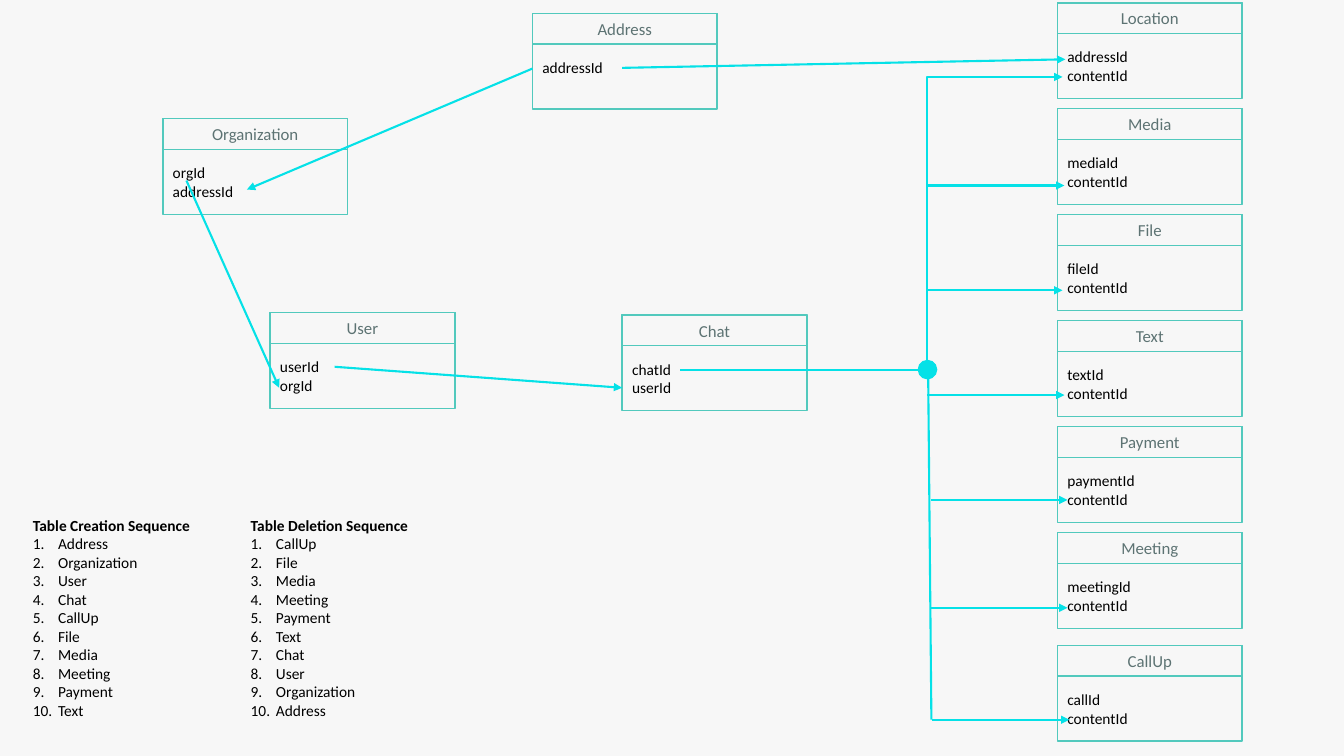
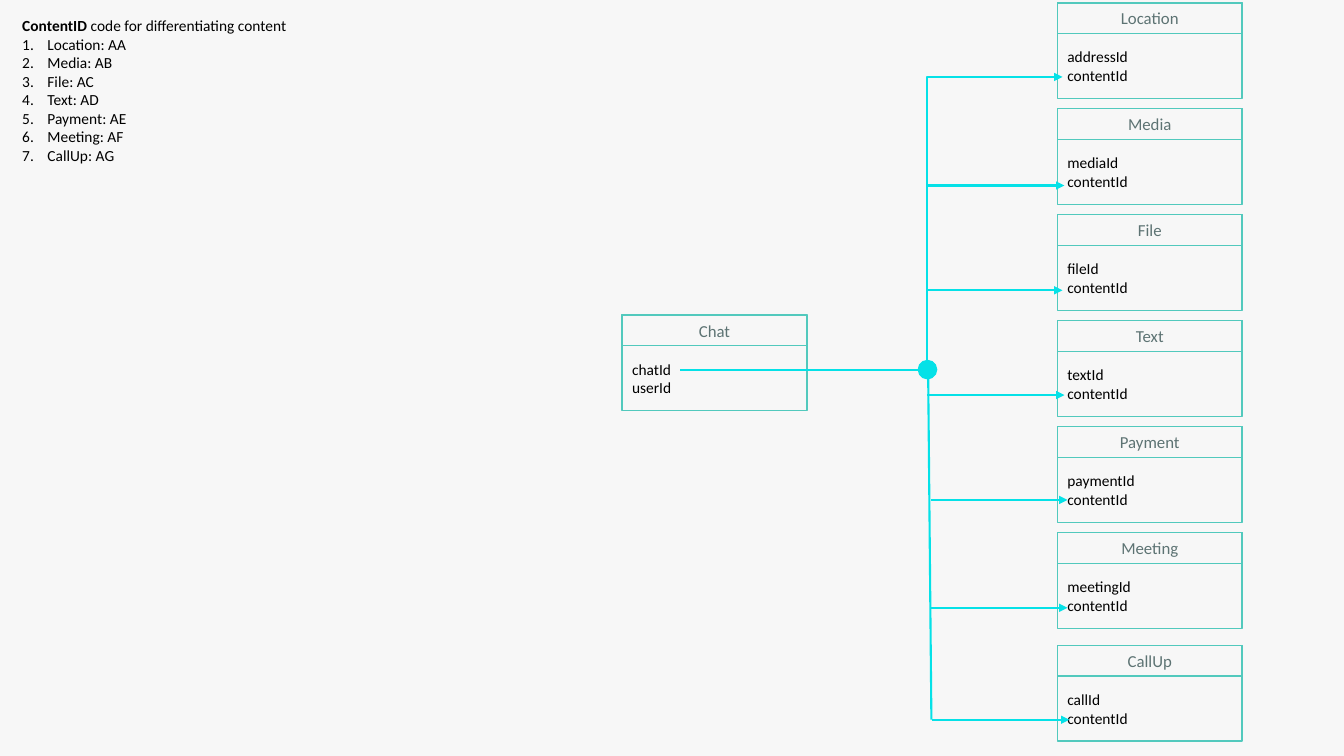
from lxml.etree import SubElement
from pptx import Presentation
from pptx.dml.color import RGBColor
from pptx.enum.shapes import MSO_CONNECTOR, MSO_SHAPE
from pptx.enum.text import MSO_ANCHOR, MSO_AUTO_SIZE, PP_ALIGN
from pptx.oxml.ns import qn
from pptx.util import Pt

FONT = "Calibri"
PAPER = "F7F7F7"
BORDER = "52C9BD"
HEADING = "5D7373"
BODY = "000000"
LINK = "05E1E7"

ENTITY_WIDTH, ENTITY_HEIGHT, HEADER_HEIGHT = 132, 68.4, 22
FIELDS_OFFSET, FIELDS_HEIGHT = 28.4, 34

CONTENT_LEFT, CONTENT_TOP, CONTENT_PITCH = 755.3, 2, 75.7
CALLUP_TOP = 461
CONTENT_TABLES = [
    ("Location", "addressId"),
    ("Media", "mediaId"),
    ("File", "fileId"),
    ("Text", "textId"),
    ("Payment", "paymentId"),
    ("Meeting", "meetingId"),
]

HUB_X, HUB_Y, HUB_SIZE = 662.5, 264, 13
BRANCHES = [
    (662.5, 760.3, 132.5),
    (661.7, 758.9, 207.4),
    (662.5, 760.3, 282.2),
    (665.3, 762.5, 357.1),
    (665.3, 762.5, 434.2),
    (666, 763.9, 514.1),
]


def rgb(color):
    return RGBColor.from_string(color)


def write(paragraph, text, size=11, color=BODY, bold=False, align=None, numbered=False):
    run = paragraph.add_run()
    run.text = text
    run.font.name = FONT
    run.font.size = Pt(size)
    run.font.bold = bold
    run.font.color.rgb = rgb(color)
    if align is not None:
        paragraph.alignment = align
    if numbered:
        properties = paragraph._p.get_or_add_pPr()
        properties.set("marL", str(Pt(18)))
        properties.set("indent", str(-Pt(18)))
        SubElement(properties, qn("a:buFont"), typeface="+mj-lt")
        SubElement(properties, qn("a:buAutoNum"), type="arabicPeriod")


def add_outline(shapes, kind, left, top, width, height, line, fill=None):
    outline = shapes.add_shape(kind, Pt(left), Pt(top), Pt(width), Pt(height))
    outline.shadow.inherit = False
    outline.line.color.rgb = rgb(line)
    outline.line.width = Pt(1)
    if fill:
        outline.fill.solid()
        outline.fill.fore_color.rgb = rgb(fill)
    else:
        outline.fill.background()
    return outline


def add_text_frame(shapes, left, top, width, height):
    frame = shapes.add_textbox(Pt(left), Pt(top), Pt(width), Pt(height)).text_frame
    frame.word_wrap = True
    frame.auto_size = MSO_AUTO_SIZE.SHAPE_TO_FIT_TEXT
    return frame


def next_paragraph(frame, index):
    return frame.add_paragraph() if index else frame.paragraphs[0]


def add_entity(slide, name, fields, left, top):
    entity = slide.shapes.add_group_shape().shapes
    add_outline(entity, MSO_SHAPE.RECTANGLE, left, top, ENTITY_WIDTH, ENTITY_HEIGHT, BORDER)
    header = add_outline(entity, MSO_SHAPE.RECTANGLE, left, top, ENTITY_WIDTH, HEADER_HEIGHT, BORDER)
    header.text_frame.vertical_anchor = MSO_ANCHOR.MIDDLE
    write(header.text_frame.paragraphs[0], name, size=12, color=HEADING, align=PP_ALIGN.CENTER)
    frame = add_text_frame(entity, left, top + FIELDS_OFFSET, ENTITY_WIDTH, FIELDS_HEIGHT)
    for index, field in enumerate(fields):
        write(next_paragraph(frame, index), field)


def add_link(shapes, start, end, arrow="tailEnd", kind=MSO_CONNECTOR.STRAIGHT):
    link = shapes.add_connector(kind, *(Pt(value) for value in (*start, *end)))
    link.line.color.rgb = rgb(LINK)
    link.line.width = Pt(1.5)
    if arrow:
        SubElement(link.line._get_or_add_ln(), qn(f"a:{arrow}"), type="triangle")
    SubElement(link._element.spPr, qn("a:effectLst"))
    return link


def add_numbered_list(slide, title, items, left, top, width, height, subtitle=None):
    frame = add_text_frame(slide.shapes, left, top, width, height)
    write(frame.paragraphs[0], title, bold=True)
    if subtitle:
        write(frame.paragraphs[0], subtitle)
    for item in items:
        write(frame.add_paragraph(), item, numbered=True)


def add_content_model(slide):
    add_entity(slide, "Chat", ["chatId", "userId"], 444.4, 225)
    for index, (name, key) in enumerate(CONTENT_TABLES):
        add_entity(slide, name, [key, "contentId"], CONTENT_LEFT, CONTENT_TOP + index * CONTENT_PITCH)
    add_entity(slide, "CallUp", ["callId", "contentId"], CONTENT_LEFT, CALLUP_TOP)

    hub = slide.shapes.add_group_shape().shapes
    add_link(hub, (486, HUB_Y), (HUB_X + HUB_SIZE / 2, HUB_Y))
    add_outline(hub, MSO_SHAPE.OVAL, HUB_X - HUB_SIZE / 2, HUB_Y - HUB_SIZE / 2,
                HUB_SIZE, HUB_SIZE, LINK, fill=LINK)

    riser = add_link(slide.shapes, (759, 55), (HUB_X, HUB_Y - HUB_SIZE / 2),
                     arrow="headEnd", kind=MSO_CONNECTOR.ELBOW)
    riser.adjustments = None
    bend = riser._element.spPr.find(qn("a:prstGeom")).find(qn("a:avLst"))
    SubElement(bend, qn("a:gd"), name="adj1", fmla="val 100000")
    for start_x, end_x, y in BRANCHES:
        add_link(slide.shapes, (start_x, y), (end_x, y))
    add_link(slide.shapes, (663, 268), (665.3, 514), arrow=None)


def build_table_slide(slide):
    add_entity(slide, "Address", ["addressId"], 380.3, 9.5)
    add_entity(slide, "Organization", ["orgId", "addressId"], 116.3, 84.8)
    add_entity(slide, "User", ["userId", "orgId"], 192.9, 223.3)
    add_content_model(slide)
    for start, end in [
        ((444.4, 48.5), (761, 42.4)),
        ((380.3, 49), (176.4, 135.4)),
        ((239, 262), (444.4, 277)),
        ((133.2, 129), (199.4, 277)),
    ]:
        add_link(slide.shapes, start, end)

    creation = ["Address", "Organization", "User", "Chat", "CallUp",
                "File", "Media", "Meeting", "Payment", "Text"]
    deletion = ["CallUp", "File", "Media", "Meeting", "Payment",
                "Text", "Chat", "User", "Organization", "Address"]
    add_numbered_list(slide, "Table Creation Sequence", creation, 16.4, 365, 148.3, 167)
    add_numbered_list(slide, "Table Deletion Sequence", deletion, 172, 365, 148.3, 167)


def build_code_slide(slide):
    add_content_model(slide)
    names = [name for name, _ in CONTENT_TABLES] + ["CallUp"]
    codes = [f"{name}: A{letter}" for name, letter in zip(names, "ABCDEFG")]
    add_numbered_list(slide, "ContentID ", codes, 8.8, 8, 274.3, 113.8,
                      subtitle="code for differentiating content")


def main():
    deck = Presentation()
    deck.slide_width, deck.slide_height = Pt(960), Pt(540)
    background = deck.slide_master.background.fill
    background.solid()
    background.fore_color.rgb = rgb(PAPER)
    for build in (build_table_slide, build_code_slide):
        build(deck.slides.add_slide(deck.slide_layouts[6]))
    deck.save("out.pptx")


if __name__ == "__main__":
    main()
